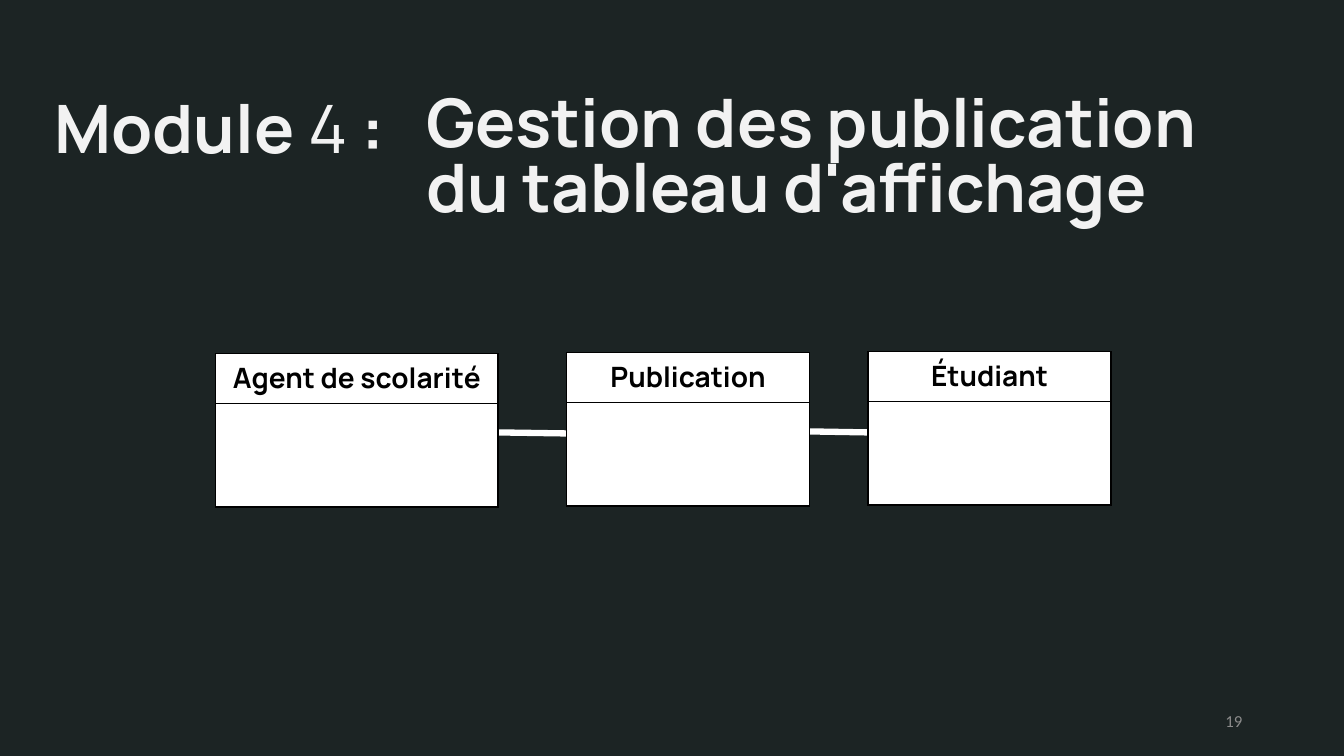
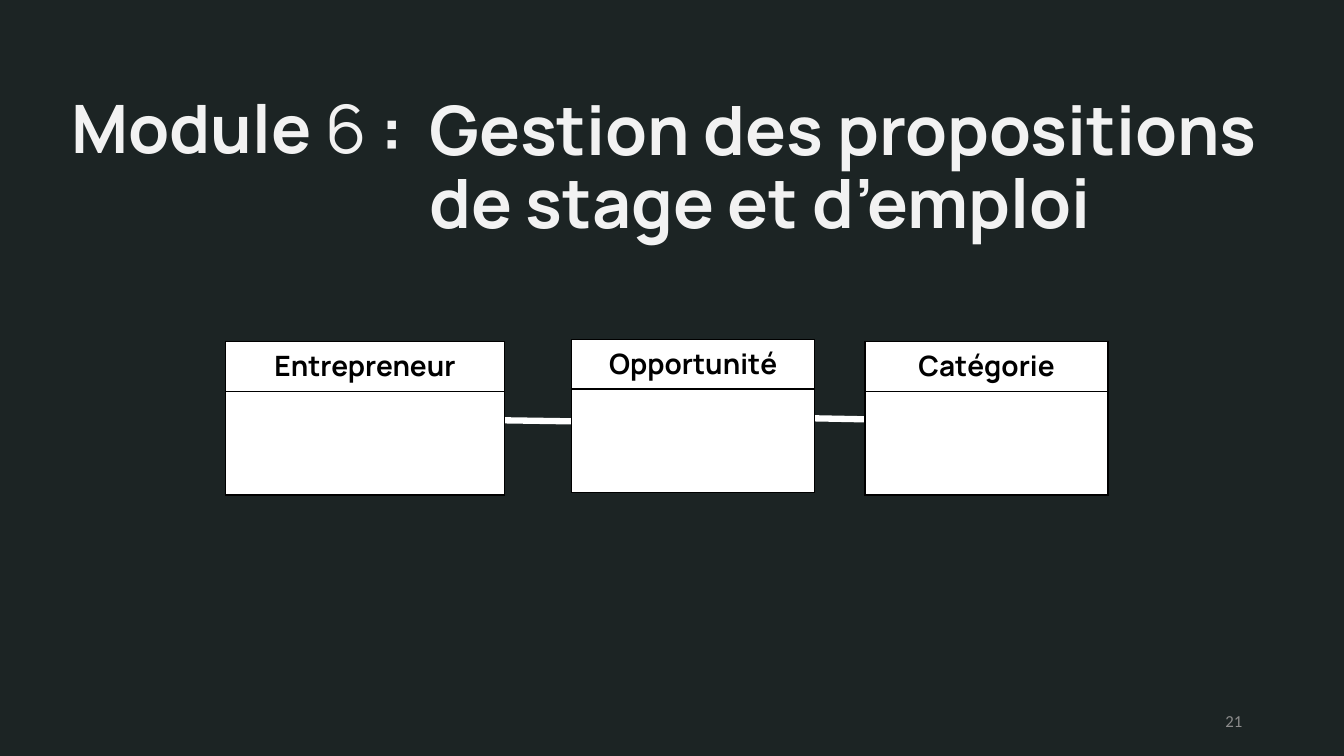
from itertools import pairwise

from lxml import etree
from pptx import Presentation
from pptx.dml.color import RGBColor
from pptx.enum.shapes import MSO_CONNECTOR
from pptx.enum.text import MSO_ANCHOR, PP_ALIGN
from pptx.oxml import parse_xml
from pptx.oxml.ns import nsdecls, qn
from pptx.util import Inches, Pt

BACKGROUND = "1C2424"
TITLE_COLOUR = "F2F2F2"
NUMBER_COLOUR = "8C8C8C"
WHITE = "FFFFFF"
BLACK = "000000"
TITLE_FONT = "Manrope"
NUMBER_FONT = "Calibri"
NAME_ROW, BODY_ROW = 0.49, 1.03
LINK_DROP = 0.78

# Each entity is (name, left, top, width); lengths are in inches.
MODULES = [
    {
        "number": "4",
        "label_box": (0.44, 0.46, 3.94, 1.68),
        "heading": ["Gestion des publication", "du tableau d'affichage"],
        "heading_box": (4.13, 0.84, 9, 1.51),
        "heading_size": 47.8,
        "heading_spacing": 0.8,
        "entities": [
            ("Agent de scolarité", 2.14, 3.51, 2.8),
            ("Publication", 5.62, 3.5, 2.41),
            ("Étudiant", 8.61, 3.49, 2.41),
        ],
        "page_number": "19",
    },
    {
        "number": "6",
        "label_box": (0.61, 0.46, 3.9, 1.68),
        "heading": ["Gestion des propositions", "de stage et d’emploi"],
        "heading_box": (4.16, 0.72, 9, 1.93),
        "heading_size": 48.6,
        "heading_spacing": 0.9,
        "entities": [
            ("Entrepreneur", 2.24, 3.39, 2.76),
            ("Opportunité", 5.67, 3.37, 2.41),
            ("Catégorie", 8.58, 3.39, 2.41),
        ],
        "page_number": "21",
    },
]


def colour(hex_value):
    return RGBColor.from_string(hex_value)


def add_text(page, area, lines, spacing=1.0, align=PP_ALIGN.LEFT):
    """Add a text box; each line is a list of (text, size, bold, font, colour)."""
    frame = page.shapes.add_textbox(*map(Inches, area)).text_frame
    frame.word_wrap = True
    frame.vertical_anchor = MSO_ANCHOR.MIDDLE
    for index, runs in enumerate(lines):
        para = frame.add_paragraph() if index else frame.paragraphs[0]
        para.alignment = align
        para.line_spacing = spacing
        for text, size, bold, font, hex_value in runs:
            span = para.add_run()
            span.text = text
            span.font.size = Pt(size)
            span.font.bold = bold
            span.font.name = font
            span.font.color.rgb = colour(hex_value)


deck = Presentation()
deck.slide_width, deck.slide_height = Inches(13.33), Inches(7.5)
master_fill = deck.slide_master.background.fill
master_fill.solid()
master_fill.fore_color.rgb = colour(BACKGROUND)

for module in MODULES:
    page = deck.slides.add_slide(deck.slide_layouts[6])

    label = [
        ("Module ", 47.7, True, TITLE_FONT, TITLE_COLOUR),
        (module["number"] + " ", 47.7, False, TITLE_FONT, TITLE_COLOUR),
        (":", 48.6, True, TITLE_FONT, TITLE_COLOUR),
    ]
    add_text(page, module["label_box"], [label], 0.9)
    heading = [[(line, module["heading_size"], True, TITLE_FONT, TITLE_COLOUR)]
               for line in module["heading"]]
    add_text(page, module["heading_box"], heading, module["heading_spacing"])

    # Links run from the right edge of one entity to the left edge of the next.
    for (_, left, top, width), (_, next_left, _, _) in pairwise(module["entities"]):
        level = top + LINK_DROP
        link = page.shapes.add_connector(
            MSO_CONNECTOR.STRAIGHT, Inches(left + width), Inches(level),
            Inches(next_left), Inches(level + 0.01))
        link.line.color.rgb = colour(WHITE)
        link.line.width = Pt(4.5)
        etree.SubElement(link.element.spPr, qn("a:effectLst"))

    for name, left, top, width in module["entities"]:
        table = page.shapes.add_table(
            2, 1, Inches(left), Inches(top), Inches(width),
            Inches(NAME_ROW + BODY_ROW)).table
        table.first_row = table.horz_banding = False
        for row, height in zip(table.rows, (NAME_ROW, BODY_ROW)):
            row.height = Inches(height)
            cell = row.cells[0]
            properties = cell._tc.get_or_add_tcPr()
            for side in "LRTB":
                properties.append(parse_xml(
                    f'<a:ln{side} {nsdecls("a")} w="12700"><a:solidFill>'
                    f'<a:srgbClr val="{BLACK}"/></a:solidFill></a:ln{side}>'))
            cell.fill.solid()
            cell.fill.fore_color.rgb = colour(WHITE)
        para = table.cell(0, 0).text_frame.paragraphs[0]
        para.alignment = PP_ALIGN.CENTER
        span = para.add_run()
        span.text = name
        span.font.size = Pt(20)
        span.font.bold = True
        span.font.name = TITLE_FONT
        span.font.color.rgb = colour(BLACK)

    number = (module["page_number"], 12, False, NUMBER_FONT, NUMBER_COLOUR)
    add_text(page, (9.42, 6.95, 3, 0.4), [[number]], align=PP_ALIGN.RIGHT)

deck.save("out.pptx")
